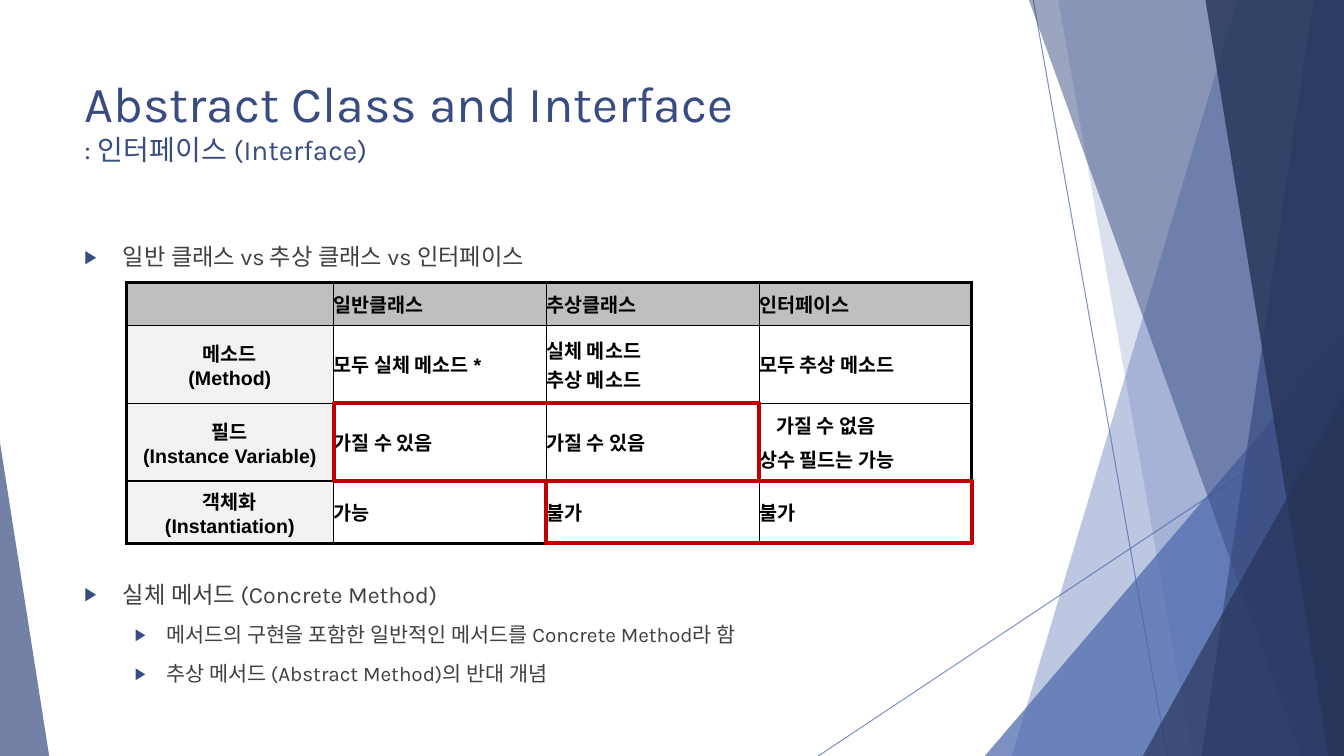
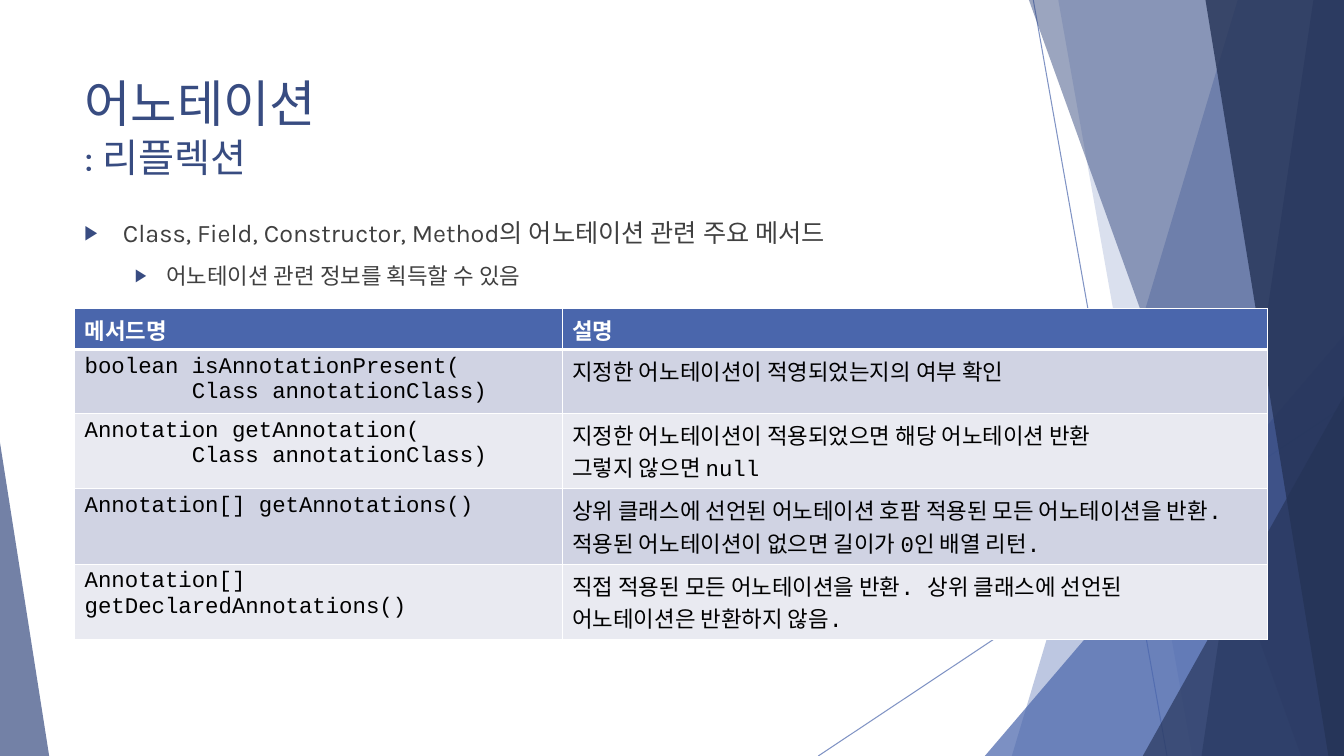
from copy import deepcopy
from lxml.etree import SubElement
from pptx import Presentation
from pptx.dml.color import RGBColor as Rgb
from pptx.enum.shapes import MSO_CONNECTOR as Conn, MSO_SHAPE as Kind
from pptx.enum.text import MSO_ANCHOR as Anchor, PP_ALIGN as Align
from pptx.oxml import parse_xml
from pptx.oxml.ns import nsdecls, qn
from pptx.util import Cm, Pt

WIDE, HIGH = 33.87, 19.05
HUES = {
    "blue": "4A66AC", "navy": "384C81", "deep": "253356", "text": "404040",
    "black": "000000", "white": "FFFFFF", "red": "C00000",
    "head": "BFBFBF", "side": "F2F2F2", "odd": "D0D3E3", "even": "E9EAF1",
}
BANDS = [(31.19, 25.5, "blue", 36), (26.67, 30.05, "blue", 20),
         (25.93, 32.79, "navy", 50), (33.1, 30.28, "navy", 70),
         (30.38, 33.48, "deep", 80)]
PEAKS = [(24.82, 8.46, 9.05, 1, "blue", 72), (28.8, 9.98, 5.07, 1, "deep", 66),
         (0, 11.15, 1.24, 0, "navy", 70)]
RAYS = [(26.04, 0, 29.41, HIGH), (WIDE, 10.24, 20.62, HIGH)]
LEFT, SPAN = 1.88, 23.88


def hue(name):
    return Rgb.from_string(HUES[name])


class Deck:
    def __init__(self):
        self.prs = Presentation()
        self.prs.slide_width, self.prs.slide_height = Cm(WIDE), Cm(HIGH)
        self.slide = None

    def page(self):
        self.slide = self.prs.slides.add_slide(self.prs.slide_layouts[6])
        for ray in RAYS:
            self.ray(*ray)
        for band in BANDS[:2]:
            self.band(*band)
        self.peak(*PEAKS[0])
        for band in BANDS[2:]:
            self.band(*band)
        for peak in PEAKS[1:]:
            self.peak(*peak)

    def fade(self, shape, alpha):
        for clr in shape._element.iter(qn("a:srgbClr")):
            SubElement(clr, qn("a:alpha"), val=str(alpha * 1000))

    def glaze(self, shape, color, alpha):
        shape.shadow.inherit = False
        shape.fill.solid()
        shape.fill.fore_color.rgb = hue(color)
        shape.line.fill.background()
        self.fade(shape, alpha)

    def ray(self, *ends):
        ray = self.slide.shapes.add_connector(Conn.STRAIGHT, *map(Cm, ends))
        ray.line.color.rgb = hue("blue")
        ray.line.width = Pt(0.75)
        self.fade(ray, 70)
        SubElement(ray._element.spPr, qn("a:effectLst"))

    def band(self, top, base, color, alpha):
        pen = self.slide.shapes.build_freeform(Cm(top), 0)
        pen.add_line_segments([(Cm(x), Cm(y)) for x, y in
                               ((WIDE, 0), (WIDE, HIGH), (base, HIGH))])
        self.glaze(pen.convert_to_shape(), color, alpha)

    def peak(self, x, y, wide, tip, color, alpha):
        peak = self.slide.shapes.add_shape(
            Kind.ISOSCELES_TRIANGLE, Cm(x), Cm(y), Cm(wide), Cm(HIGH - y))
        peak.adjustments[0] = tip
        self.glaze(peak, color, alpha)

    def frame(self, x, y, wide, high):
        box = self.slide.shapes.add_shape(
            Kind.RECTANGLE, Cm(x), Cm(y), Cm(wide), Cm(high))
        box.shadow.inherit = False
        box.fill.background()
        box.line.color.rgb = hue("red")
        box.line.width = Pt(3)

    def style(self, run, face, size, color, bold=False, asian=False):
        look = {"name": face, "size": Pt(size), "bold": bold}
        for key, val in look.items():
            setattr(run.font, key, val)
        run.font.color.rgb = hue(color)
        if asian:
            SubElement(run._r.get_or_add_rPr(), qn("a:ea"), typeface=face)

    def box(self, y, high):
        area = self.slide.shapes.add_textbox(Cm(LEFT), Cm(y), Cm(SPAN), Cm(high))
        area.text_frame.word_wrap = True
        return area.text_frame

    def title(self, main, sub, size):
        para = self.box(1.7, 3.66).paragraphs[0]
        para.text = main + "\v"
        self.style(para.runs[0], "Karla", 36, "navy", asian=True)
        self.match(para)
        run = para.add_run()
        run.text = sub
        self.style(run, "Karla", size, "navy", asian=True)

    def match(self, para):
        for gap in para._p.findall(qn("a:br")):
            gap.append(deepcopy(para.runs[0]._r.rPr))

    def points(self, y, high, sizes, items):
        text = self.box(y, high)
        for i, (level, words) in enumerate(items):
            para = text.add_paragraph() if i else text.paragraphs[0]
            para.level = level
            para.space_before = Pt(10 if i else 0)
            left, hang = ((0.97, 0.97), (2.06, 0.79))[level]
            props = para._p.get_or_add_pPr()
            props.set("marL", str(Cm(left)))
            props.set("indent", str(-Cm(hang)))
            tint = SubElement(props, qn("a:buClr"))
            SubElement(tint, qn("a:srgbClr"), val=HUES["navy"])
            SubElement(props, qn("a:buSzPct"), val="80000")
            SubElement(props, qn("a:buFont"), typeface="Arial")
            SubElement(props, qn("a:buChar"), char="▶")
            para.text = words
            self.style(para.runs[0], "Karla", sizes[level], "text", asian=True)

    def edge(self, cell, color, widths):
        props = cell._tc.get_or_add_tcPr()
        for i, (side, width) in enumerate(zip("LRTB", widths)):
            props.insert(i, parse_xml(
                f'<a:ln{side} {nsdecls("a")} w="{Pt(width)}"><a:solidFill>'
                f'<a:srgbClr val="{HUES[color]}"/></a:solidFill></a:ln{side}>'))

    def grid(self, x, y, cols, rows, data):
        table = self.slide.shapes.add_table(
            len(rows), len(cols), Cm(x), Cm(y), Cm(sum(cols)), Cm(sum(rows))).table
        table.horz_banding = False
        for col, wide in zip(table.columns, cols):
            col.width = Cm(wide)
        for row, high in zip(table.rows, rows):
            row.height = Cm(high)
        for r, line in enumerate(data):
            for c, words in enumerate(line):
                table.cell(r, c).text_frame.text = words
        return table

    def paint(self, cell, fill, face, size, color, bold):
        cell.fill.solid()
        cell.fill.fore_color.rgb = hue(fill)
        for para in cell.text_frame.paragraphs:
            for run in para.runs:
                self.style(run, face, size, color, bold)
            self.match(para)


def compare(deck):
    deck.page()
    deck.title("Abstract Class and Interface", ": 인터페이스 (Interface)", 20)
    sizes = (16.6, 14.8)
    deck.points(5.99, 1, sizes, [(0, "일반 클래스 vs 추상 클래스 vs 인터페이스")])
    deck.points(14.5, 3, sizes, [
        (0, "실체 메서드 (Concrete Method)"),
        (1, "메서드의 구현을 포함한 일반적인 메서드를 Concrete Method라 함"),
        (1, "추상 메서드 (Abstract Method)의 반대 개념")])
    x, y, side, col = 3.18, 7.11, 5.23, 5.36
    rows = [1.09, 1.96, 1.96, 1.57]
    table = deck.grid(x, y, [side] + [col] * 3, rows, [
        ("", "일반클래스", "추상클래스", "인터페이스"),
        ("메소드\n(Method)", "모두 실체 메소드 *", "실체 메소드\n추상 메소드",
         "모두 추상 메소드"),
        ("필드\n(Instance Variable)", "가질 수 있음", "가질 수 있음",
         "가질 수 없음\n상수 필드는 가능"),
        ("객체화\n(Instantiation)", "가능", "불가", "불가")])
    for i, cell in enumerate(table.iter_cells()):
        r, c = divmod(i, 4)
        fill = "white" if r and c else "side" if r else "head"
        deck.paint(cell, fill, "Arial", 14, "black", True)
        deck.edge(cell, "black", [2.25 if out else 1 for out in
                                  (c == 0, c == 3, r == 0, r == 3)])
        look = {"margin_left": 0, "margin_right": 0, "margin_top": 0,
                "margin_bottom": 0, "vertical_anchor": Anchor.MIDDLE}
        for key, val in look.items():
            setattr(cell, key, val)
        for para in cell.text_frame.paragraphs:
            para.alignment = Align.LEFT if c else Align.CENTER
    first, last = table.cell(2, 3).text_frame.paragraphs
    first._p.get_or_add_pPr().set("marL", str(Cm(0.43)))
    last.space_before = Pt(4)
    deck.frame(x + side + col, y + sum(rows[:3]), 2 * col, rows[3])
    deck.frame(x + side, y + sum(rows[:2]), 2 * col, rows[2])


def reflect(deck):
    deck.page()
    deck.title("어노테이션", ": 리플렉션", 28)
    deck.points(5.36, 2.2, (18, 16), [
        (0, "Class, Field, Constructor, Method의 어노테이션 관련 주요 메서드"),
        (1, "어노테이션 관련 정보를 획득할 수 있음")])
    table = deck.grid(LEFT, 7.77, [12.29, 17.78], [1.04, 1.55] + [1.9] * 3, [
        ("메서드명", "설명"),
        ("boolean isAnnotationPresent(\v        Class annotationClass)",
         "지정한 어노테이션이 적영되었는지의 여부 확인"),
        ("Annotation getAnnotation(\v        Class annotationClass)",
         "지정한 어노테이션이 적용되었으면 해당 어노테이션 반환\v그렇지 않으면 null"),
        ("Annotation[] getAnnotations()",
         "상위 클래스에 선언된 어노테이션 호팜 적용된 모든 어노테이션을 반환. "
         "적용된 어노테이션이 없으면 길이가 0인 배열 리턴."),
        ("Annotation[] getDeclaredAnnotations()",
         "직접 적용된 모든 어노테이션을 반환. 상위 클래스에 선언된\v"
         "어노테이션은 반환하지 않음.")])
    for i, cell in enumerate(table.iter_cells()):
        r = i // 2
        fill = ("odd" if r % 2 else "even") if r else "blue"
        deck.paint(cell, fill, "Courier New", 16, "black" if r else "white", not r)
        deck.edge(cell, "white", (1, 1, 3 if r == 1 else 1, 1 if r else 3))


def main():
    deck = Deck()
    compare(deck)
    reflect(deck)
    deck.prs.save("out.pptx")


if __name__ == "__main__":
    main()
